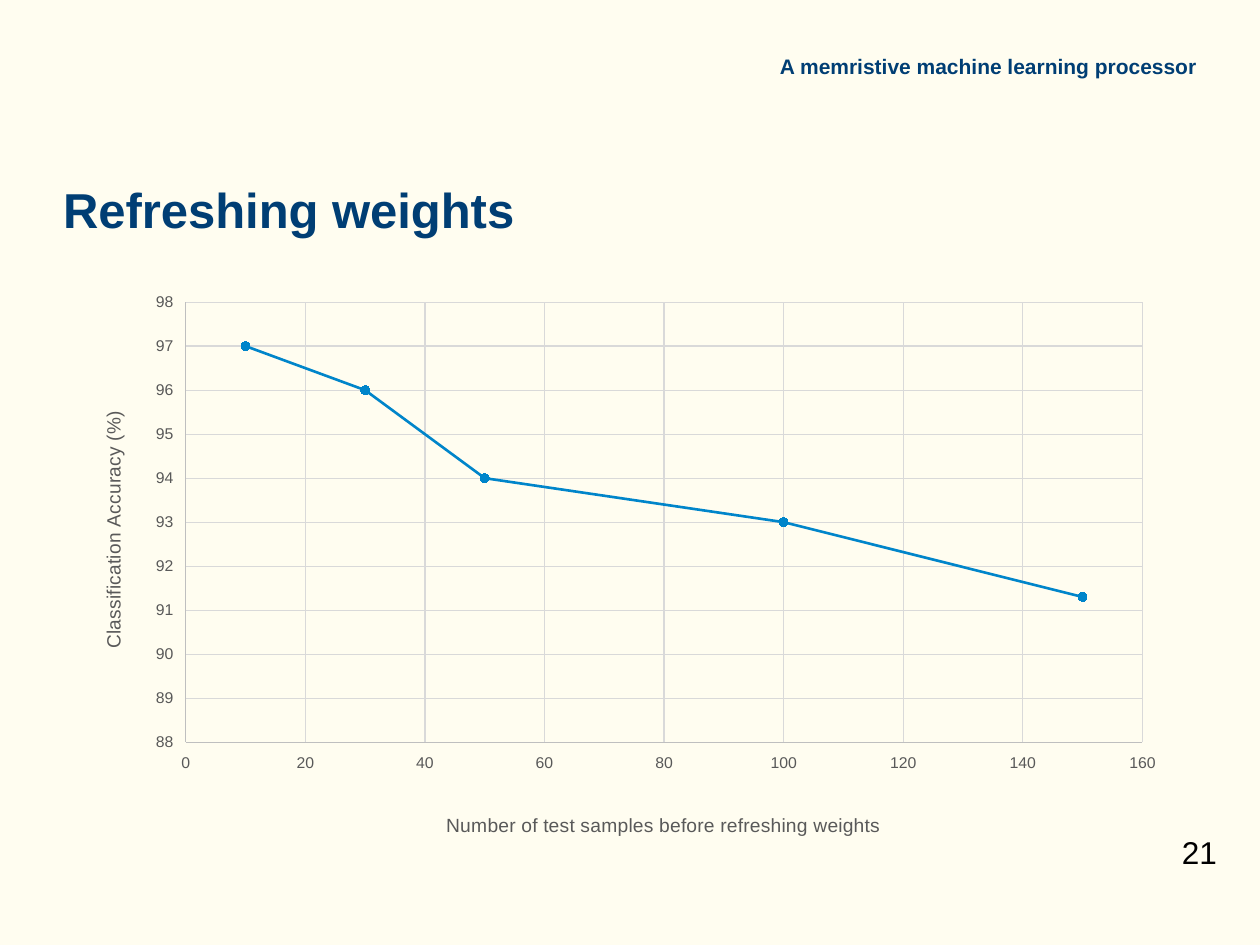
from dataclasses import dataclass
from typing import Any

from lxml import etree
from pptx import Presentation
from pptx.chart.data import XyChartData
from pptx.dml.color import RGBColor
from pptx.enum.chart import XL_CHART_TYPE, XL_MARKER_STYLE, XL_TICK_LABEL_POSITION, XL_TICK_MARK
from pptx.enum.text import MSO_ANCHOR, PP_ALIGN
from pptx.oxml.ns import qn
from pptx.util import Pt

SCATTER_LINES = XL_CHART_TYPE.XY_SCATTER_LINES
CIRCLE = XL_MARKER_STYLE.CIRCLE
LABELS_LOW = XL_TICK_LABEL_POSITION.LOW
NO_TICK = XL_TICK_MARK.NONE
TOP, MIDDLE = MSO_ANCHOR.TOP, MSO_ANCHOR.MIDDLE
LEFT, RIGHT = PP_ALIGN.LEFT, PP_ALIGN.RIGHT
TITLE_ONLY = 5


@dataclass(frozen=True)
class Theme:
    font: str = "Arial"
    background: RGBColor = RGBColor(0xFF, 0xFD, 0xF0)
    navy: RGBColor = RGBColor(0x00, 0x3E, 0x74)
    black: RGBColor = RGBColor(0, 0, 0)
    accent: RGBColor = RGBColor(0x00, 0x85, 0xCA)
    label: RGBColor = RGBColor(0x59, 0x59, 0x59)
    axis: RGBColor = RGBColor(0xBF, 0xBF, 0xBF)
    grid: RGBColor = RGBColor(0xD9, 0xD9, 0xD9)
    title_size: float = 28
    header_size: float = 12
    number_size: float = 18
    chart_size: float = 10
    axis_title_size: float = 11
    tick_size: float = 9
    hairline: float = 0.75
    curve: float = 1.5


@dataclass(frozen=True)
class Box:
    left: float
    top: float
    width: float
    height: float


@dataclass(frozen=True)
class TextBlock:
    text: str
    box: Box
    size: float
    color: RGBColor
    bold: bool = False
    align: PP_ALIGN = LEFT
    anchor: MSO_ANCHOR = TOP
    insets: tuple[float, float, float, float] = (0, 0, 0, 0)


@dataclass(frozen=True)
class AxisScale:
    title: str
    low: float
    high: float
    step: float
    title_at: tuple[float, float]
    rotation: int = 0


THEME = Theme()
TITLE = TextBlock("Refreshing weights", Box(36, 97.2, 648, 40.3), THEME.title_size,
                  THEME.navy, bold=True, anchor=MIDDLE, insets=(0, 3.6, 0, 0))
HEADER = TextBlock("A memristive machine learning processor", Box(432, 30.5, 252, 31),
                   THEME.header_size, THEME.navy, bold=True, align=RIGHT)
PAGE_NUMBER = TextBlock("21", Box(668.2, 472.3, 39.6, 28.8), THEME.number_size,
                        THEME.black, insets=(7.2, 3.6, 7.2, 3.6))
CHART_BOX = Box(36, 161.3, 637.9, 319.7)
SAMPLES_AXIS = AxisScale("Number of test samples before refreshing weights",
                         0, 160, 20, (0.34, 0.95))
ACCURACY_AXIS = AxisScale("Classification Accuracy (%)", 88, 98, 1, (0.03, 0.23), -90)
ACCURACY_BY_SAMPLES = {10: 97, 30: 96, 50: 94, 100: 93, 150: 91.3}


def apply(target: Any, values: dict[str, Any]) -> None:
    for attribute, value in values.items():
        setattr(target, attribute, value)


def format_font(font: Any, size: float, color: RGBColor, bold: bool = False) -> None:
    apply(font, {"name": THEME.font, "size": Pt(size), "bold": bold})
    font.color.rgb = color


def format_line(line: Any, color: RGBColor, width: float) -> None:
    line.color.rgb = color
    line.width = Pt(width)


def write_text(holder: Any, block: TextBlock) -> None:
    sides = ("left", "top", "width", "height")
    apply(holder, {side: Pt(getattr(block.box, side)) for side in sides})
    frame = holder.text_frame
    margins = ("margin_left", "margin_top", "margin_right", "margin_bottom")
    apply(frame, {"text": block.text, "word_wrap": True, "vertical_anchor": block.anchor})
    apply(frame, {margin: Pt(inset) for margin, inset in zip(margins, block.insets)})
    frame.paragraphs[0].alignment = block.align
    format_font(frame.paragraphs[0].runs[0].font, block.size, block.color, block.bold)


def add_text(slide: Any, block: TextBlock) -> None:
    write_text(slide.shapes.add_textbox(0, 0, 0, 0), block)


def place(element: Any, index: int, settings: dict[str, Any]) -> None:
    """Give a chart part a manual layout, in fractions of the chart area."""
    old = element.find(qn("c:layout"))
    if old is not None:
        element.remove(old)
    layout = etree.Element(qn("c:layout"))
    manual = etree.SubElement(layout, qn("c:manualLayout"))
    for tag, value in settings.items():
        etree.SubElement(manual, qn(f"c:{tag}")).set("val", str(value))
    element.insert(index, layout)


def format_axis(axis: Any, scale: AxisScale) -> None:
    apply(axis, {
        "minimum_scale": scale.low,
        "maximum_scale": scale.high,
        "major_unit": scale.step,
        "major_tick_mark": NO_TICK,
        "minor_tick_mark": NO_TICK,
        "tick_label_position": LABELS_LOW,
        "has_major_gridlines": True,
    })
    format_line(axis.format.line, THEME.axis, THEME.hairline)
    format_line(axis.major_gridlines.format.line, THEME.grid, THEME.hairline)
    format_font(axis.tick_labels.font, THEME.tick_size, THEME.label)
    axis.tick_labels.number_format = "General"
    axis.tick_labels.number_format_is_linked = False

    frame = axis.axis_title.text_frame
    frame.text = scale.title
    format_font(frame.paragraphs[0].runs[0].font, THEME.axis_title_size, THEME.label)
    title = axis.axis_title._element
    title.find(f".//{qn('a:bodyPr')}").set("rot", str(scale.rotation * 60000))
    left, top = scale.title_at
    place(title, 1, {"xMode": "edge", "yMode": "edge", "x": left, "y": top})


def add_accuracy_chart(slide: Any) -> None:
    data = XyChartData()
    accuracy = data.add_series("Series 1")
    for samples, percent in ACCURACY_BY_SAMPLES.items():
        accuracy.add_data_point(samples, percent)
    box = CHART_BOX
    chart = slide.shapes.add_chart(SCATTER_LINES, Pt(box.left), Pt(box.top),
                                   Pt(box.width), Pt(box.height), data).chart
    apply(chart, {"has_legend": False, "has_title": False})
    format_font(chart.font, THEME.chart_size, THEME.black)
    format_axis(chart.category_axis, SAMPLES_AXIS)
    format_axis(chart.value_axis, ACCURACY_AXIS)
    place(chart._chartSpace.find(f".//{qn('c:plotArea')}"), 0, {
        "layoutTarget": "inner", "xMode": "edge", "yMode": "edge",
        "x": 0.11, "y": 0.036, "w": 0.857, "h": 0.795,
    })

    chart.plots[0].vary_by_categories = False
    curve = chart.plots[0].series[0]
    curve.smooth = False
    format_line(curve.format.line, THEME.accent, THEME.curve)
    apply(curve.marker, {"style": CIRCLE, "size": 5})
    curve.marker.format.fill.solid()
    curve.marker.format.fill.fore_color.rgb = THEME.accent
    format_line(curve.marker.format.line, THEME.accent, THEME.hairline)


def main() -> None:
    deck = Presentation()
    apply(deck, {"slide_width": Pt(720), "slide_height": Pt(540)})
    slide = deck.slides.add_slide(deck.slide_layouts[TITLE_ONLY])
    slide.background.fill.solid()
    slide.background.fill.fore_color.rgb = THEME.background
    write_text(slide.shapes.title, TITLE)
    add_text(slide, HEADER)
    add_accuracy_chart(slide)
    add_text(slide, PAGE_NUMBER)
    deck.save("out.pptx")


if __name__ == "__main__":
    main()
